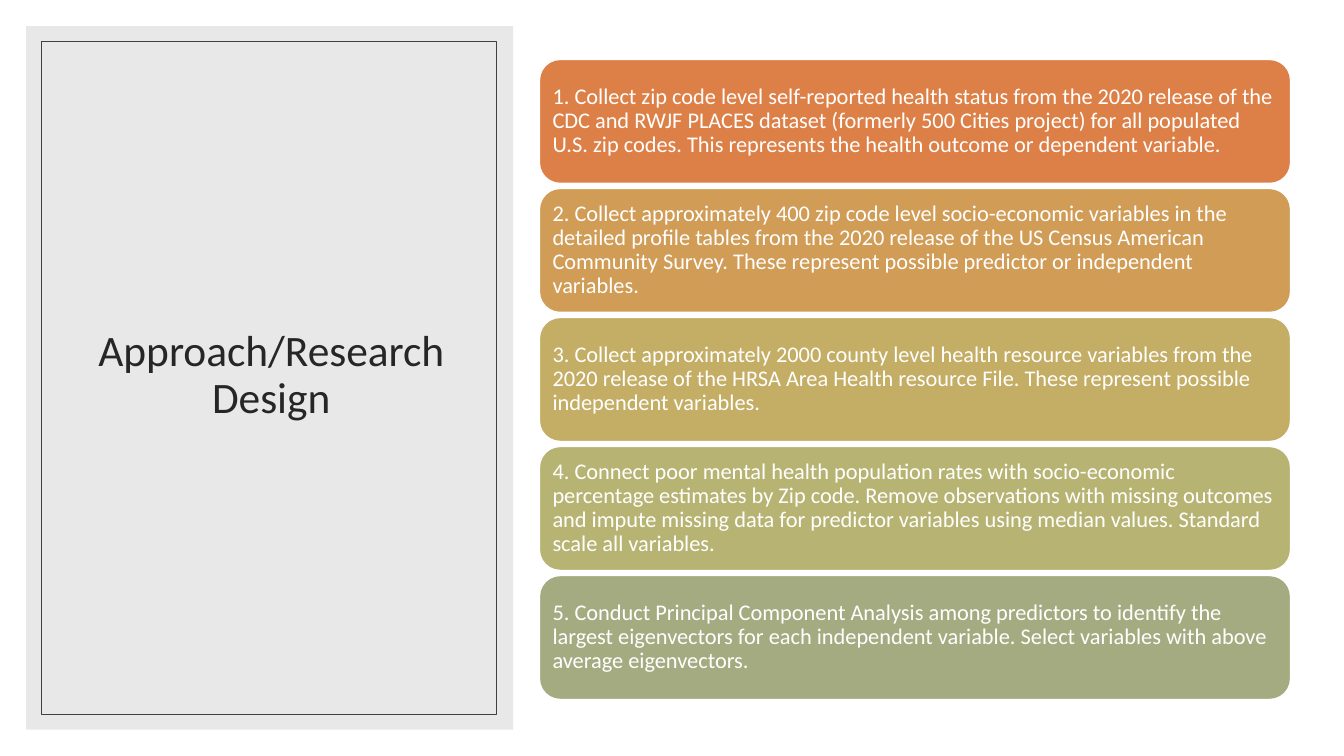
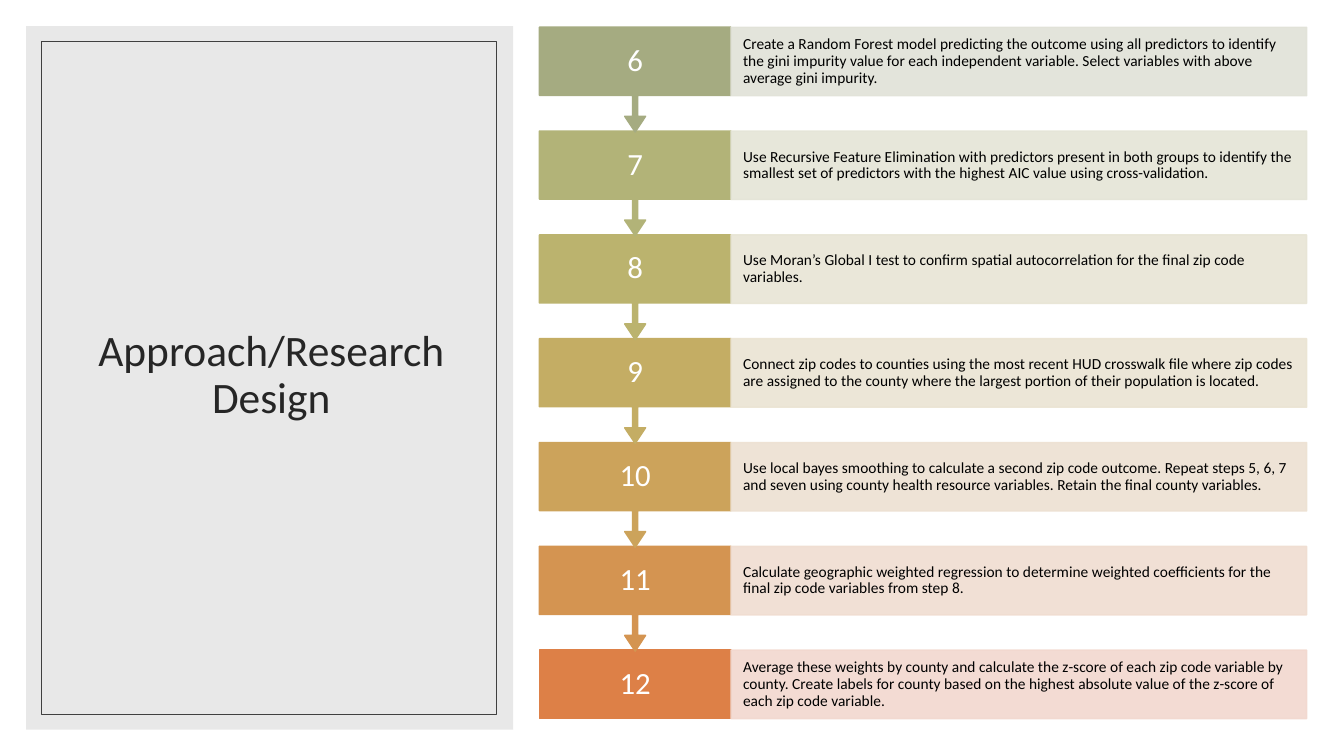
from lxml import etree
from pptx import Presentation
from pptx import util as u
from pptx.dml.color import RGBColor
from pptx.enum import shapes, text
from pptx.oxml import ns

PX = 9144
COLORS = {
    "panel": "D9D9D9",
    "frame": "404040",
    "title": "262626",
    "white": "FFFFFF",
    "black": "000000",
}
TITLE = "Approach/Research Design"
CARDS = [
    ("DD8047", "1. Collect zip code level self-reported health status from the 2020 release of the CDC and RWJF PLACES dataset (formerly 500 Cities project) for all populated U.S. zip codes. This represents the health outcome or dependent variable."),
    ("D09C56", "2. Collect approximately 400 zip code level socio-economic variables in the detailed profile tables from the 2020 release of the US Census American Community Survey. These represent possible predictor or independent variables."),
    ("C4AD64", "3. Collect approximately 2000 county level health resource variables from the 2020 release of the HRSA Area Health resource File. These represent possible independent variables."),
    ("B7B473", "4. Connect poor mental health population rates with socio-economic percentage estimates by Zip code. Remove observations with missing outcomes and impute missing data for predictor variables using median values. Standard scale all variables."),
    ("A5AB81", "5. Conduct Principal Component Analysis among predictors to identify the largest eigenvectors for each independent variable. Select variables with above average eigenvectors."),
]
STEPS = [
    ("A5AB81", "E1E2D8", "Create a Random Forest model predicting the outcome using all predictors to identify the gini impurity value for each independent variable. Select variables with above average gini impurity."),
    ("B2B378", "E5E5D7", "Use Recursive Feature Elimination with predictors present in both groups to identify the smallest set of predictors with the highest AIC value using cross-validation."),
    ("BBB36E", "E8E5D5", "Use Moran’s Global I test to confirm spatial autocorrelation for the final zip code variables."),
    ("C4AD64", "EBE4D3", "Connect zip codes to counties using the most recent HUD crosswalk file where zip codes are assigned to the county where the largest portion of their population is located."),
    ("CCA35B", "EDE1D2", "Use local bayes smoothing to calculate a second zip code outcome. Repeat steps 5, 6, 7 and seven using county health resource variables. Retain the final county variables."),
    ("D49451", "F0DDD1", "Calculate geographic weighted regression to determine weighted coefficients for the final zip code variables from step 8."),
    ("DD8047", "F2D8CF", "Average these weights by county and calculate the z-score of each zip code variable by county. Create labels for county based on the highest absolute value of the z-score of each zip code variable."),
]


class Deck:
    font = "Calibri"

    def __init__(self):
        self.prs = Presentation()
        self.prs.slide_width, self.prs.slide_height = 1333 * PX, 750 * PX
        self.slide = None

    def start(self, title):
        self.slide = self.prs.slides.add_slide(self.prs.slide_layouts[6])
        self.block("RECTANGLE", (26, 26, 483, 698), COLORS["panel"], alpha=60)
        heading = self.slide.shapes.add_textbox(*[n * PX for n in (63, 61, 412, 624)])
        self.label(heading, title, 31, COLORS["title"], (10, 5), "CENTER")
        self.block("RECTANGLE", (41, 41, 451, 668), line=COLORS["frame"], width=0.5)

    def block(self, kind, box, fill=None, line=None, width=1, alpha=100):
        shape = self.slide.shapes.add_shape(
            getattr(shapes.MSO_SHAPE, kind), *[n * PX for n in box])
        shape.shadow.inherit = False
        if fill:
            shape.fill.solid()
            shape.fill.fore_color.rgb = RGBColor.from_string(fill)
        else:
            shape.fill.background()
        if line:
            shape.line.color.rgb = RGBColor.from_string(line)
            shape.line.width = u.Pt(width)
        else:
            shape.line.fill.background()
        if alpha < 100:
            for color in shape._element.spPr.iter(ns.qn("a:srgbClr")):
                etree.SubElement(color, ns.qn("a:alpha")).set("val", str(alpha * 1000))
        return shape

    def label(self, shape, words, size, color, insets, align="LEFT"):
        frame = shape.text_frame
        frame.word_wrap = True
        frame.vertical_anchor = text.MSO_ANCHOR.MIDDLE
        frame.margin_left = frame.margin_right = insets[0] * PX
        frame.margin_top = frame.margin_bottom = insets[1] * PX
        paragraph = frame.paragraphs[0]
        paragraph.alignment = getattr(text.PP_ALIGN, align)
        paragraph.line_spacing = 0.9
        run = paragraph.add_run()
        run.text = words
        run.font.name = self.font
        run.font.size = u.Pt(size)
        run.font.color.rgb = RGBColor.from_string(color)

    def card(self, top, fill, words):
        card = self.block("ROUNDED_RECTANGLE", (535, top, 745, 123), fill, COLORS["white"])
        self.label(card, words, 16, COLORS["white"], (7, 7))

    def step(self, top, number, fill, tint, words, last):
        if last:
            badge = self.block("RECTANGLE", (535, top, 190, 68), fill, fill)
        else:
            badge = self.block("DOWN_ARROW_CALLOUT", (535, top, 190, 104), fill, fill)
            for i, ratio in enumerate((0.05, 0.1, 0.15, 0.65)):
                badge.adjustments[i] = ratio
        self.label(badge, str(number), 22, COLORS["white"], (14, 5), "CENTER")
        detail = self.block("RECTANGLE", (725, top, 571, 68), tint, tint, alpha=90)
        self.label(detail, words, 11, COLORS["black"], (12, 5))


def main():
    deck = Deck()
    deck.start(TITLE)
    for i, (fill, words) in enumerate(CARDS):
        deck.card(59 + 128 * i, fill, words)
    deck.start(TITLE)
    final = len(STEPS) - 1
    for i in range(final, -1, -1):
        deck.step(27 + 103 * i, len(CARDS) + 1 + i, *STEPS[i], last=i == final)
    deck.prs.save("out.pptx")


if __name__ == "__main__":
    main()
